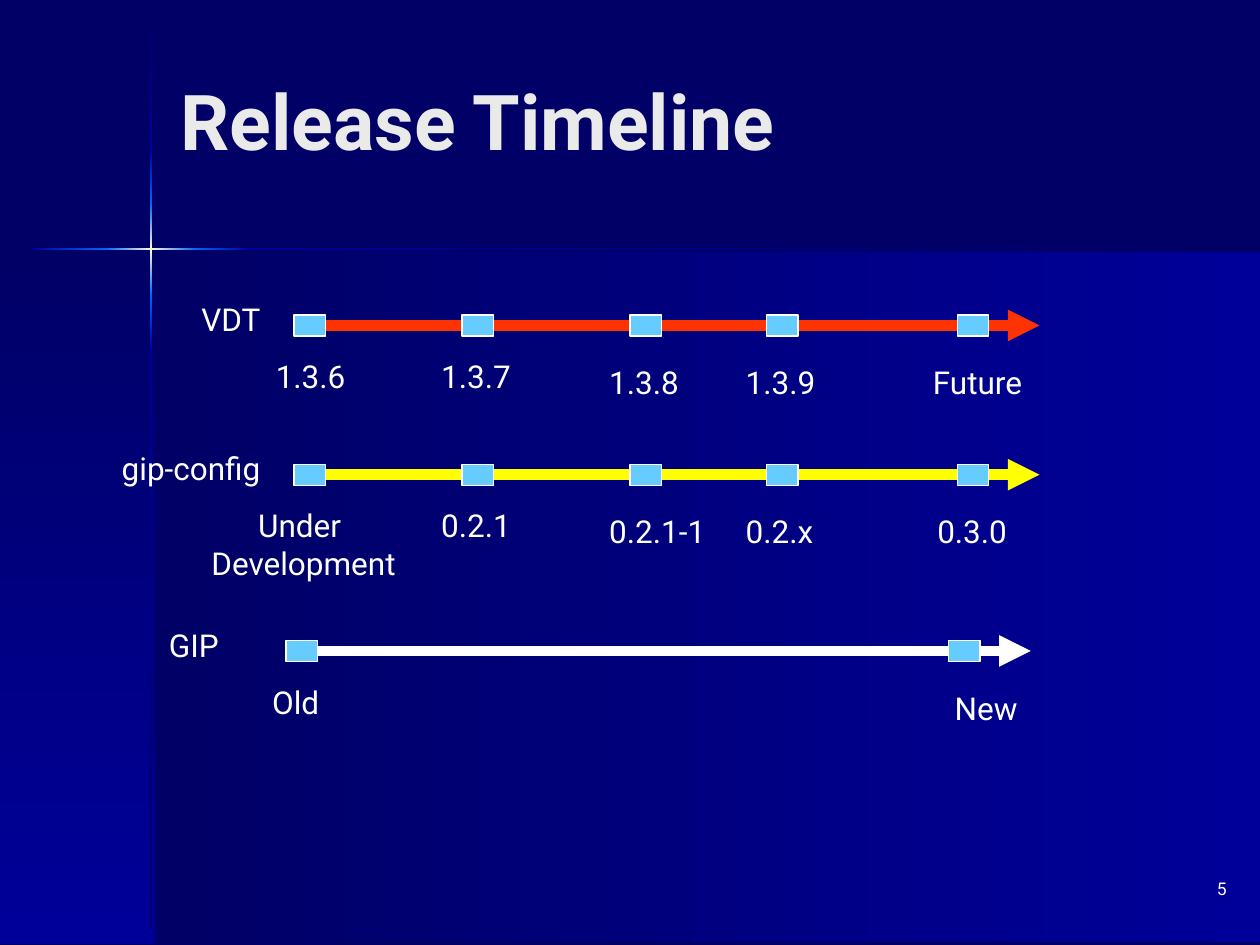
from dataclasses import dataclass
from itertools import pairwise

from lxml import etree
from pptx import Presentation
from pptx.dml.color import RGBColor
from pptx.enum.shapes import MSO_CONNECTOR, MSO_SHAPE
from pptx.enum.text import MSO_ANCHOR, MSO_AUTO_SIZE, PP_ALIGN
from pptx.oxml.ns import qn
from pptx.util import Pt

STRAIGHT = MSO_CONNECTOR.STRAIGHT
RECTANGLE = MSO_SHAPE.RECTANGLE
MIDDLE = MSO_ANCHOR.MIDDLE
NO_AUTOFIT, FIT_SHAPE = MSO_AUTO_SIZE.NONE, MSO_AUTO_SIZE.SHAPE_TO_FIT_TEXT
LEFT, CENTER, RIGHT = PP_ALIGN.LEFT, PP_ALIGN.CENTER, PP_ALIGN.RIGHT

COLORS = {
    "night": "000066", "navy": "000099", "glow": "0066FF", "flare": "FFFFCC",
    "title": "EAEAEA", "text": "FFFFFF", "marker": "66CCFF",
    "vdt": "FF3300", "config": "FFFF00", "gip": "FFFFFF",
}
LABEL_FONT = {"name": "Roboto", "size": Pt(18)}
TITLE_FONT = {"name": "Roboto", "size": Pt(44), "bold": True}
NUMBER_FONT = {"name": "Roboto", "size": Pt(10)}

# Gradient angles run counter-clockwise
RIGHTWARD, DOWNWARD = 0, 270

BEAM_WIDTH = 1.5
VERTICAL_BEAM = [(0, "night"), (85.5, "navy"), (116.5, "glow"), (142.5, "flare"),
                 (168.5, "glow"), (199.5, "navy"), (531.5, "night")]
HORIZONTAL_BEAM = [(18, "navy"), (61, "glow"), (86.5, "flare"),
                   (111.5, "glow"), (142.5, "navy"), (720, "night")]

MARKER_WIDTH, MARKER_HEIGHT = 18, 12
ARROW_LENGTH = 414
NAME_RISE = 18
NEAR, FAR = 14.5, 18


@dataclass
class Label:
    text: str
    left: float
    width: float
    drop: float = FAR
    align: PP_ALIGN = LEFT


@dataclass
class Track:
    color: str
    start: float
    y: float
    name: Label
    marker_lefts: list[float]
    releases: list[Label]


RELEASE_LEFTS = [168, 264, 360, 438, 547]
TRACKS = [
    Track("vdt", 180, 186, Label("VDT", 108, 48, -NAME_RISE), RELEASE_LEFTS, [
        Label("1.3.6", 150.5, 54.5, NEAR),
        Label("1.3.7", 245, 54.5, NEAR),
        Label("1.3.8", 341, 54.5),
        Label("1.3.9", 419, 54.5),
        Label("Future", 526, 70),
    ]),
    Track("config", 180, 271.3, Label("gip-config", 62.5, 99.5, -NAME_RISE),
          RELEASE_LEFTS, [
        Label("Under \nDevelopment", 109.5, 128, NEAR, CENTER),
        Label("0.2.1", 245, 54.5, NEAR),
        Label("0.2.1-1", 341, 70.5),
        Label("0.2.x", 419, 54),
        Label("0.3.0", 528.5, 54.5),
    ]),
    Track("gip", 175, 372, Label("GIP", 89.5, 44.5, -NAME_RISE), [163.5, 542], [
        Label("Old", 147, 44, NEAR, CENTER),
        Label("New", 538.5, 52.5),
    ]),
]


def rgb(name: str) -> RGBColor:
    return RGBColor.from_string(COLORS[name])


def add_rectangle(slide, left: float, top: float, width: float, height: float):
    box = slide.shapes.add_shape(RECTANGLE, Pt(left), Pt(top), Pt(width), Pt(height))
    box.shadow.inherit = False
    return box


def add_gradient(slide, left: float, top: float, width: float, height: float,
                 colors: tuple[str, str], angle: float) -> None:
    box = add_rectangle(slide, left, top, width, height)
    box.line.fill.background()
    box.fill.gradient()
    box.fill.gradient_angle = angle
    for stop, color, position in zip(box.fill.gradient_stops, colors, (0, 1)):
        stop.color.rgb = rgb(color)
        stop.position = position


def add_backdrop(slide) -> None:
    """Draw the two shaded panels and the crossing beams of light."""
    slide.background.fill.solid()
    slide.background.fill.fore_color.rgb = rgb("night")
    add_gradient(slide, 96, 144, 624, 394.5, ("night", "navy"), RIGHTWARD)
    add_gradient(slide, 0, 138, 88.5, 401.5, ("night", "navy"), DOWNWARD)
    for (top, first), (bottom, last) in pairwise(VERTICAL_BEAM):
        add_gradient(slide, 85.5, top, BEAM_WIDTH, bottom - top,
                     (first, last), DOWNWARD)
    for (left, first), (right, last) in pairwise(HORIZONTAL_BEAM):
        add_gradient(slide, left, 141.5, right - left, BEAM_WIDTH,
                     (first, last), RIGHTWARD)


def write(frame, text: str, font_format: dict, color: str, align: PP_ALIGN) -> None:
    frame.text = text
    for paragraph in frame.paragraphs:
        paragraph.alignment = align
        for attribute, value in font_format.items():
            setattr(paragraph.font, attribute, value)
        paragraph.font.color.rgb = rgb(color)


def add_label(slide, label: Label, y: float) -> None:
    lines = label.text.count("\n") + 1
    box = slide.shapes.add_textbox(Pt(label.left), Pt(y + label.drop),
                                   Pt(label.width), Pt(7.2 + 21.6 * lines))
    box.text_frame.word_wrap = False
    box.text_frame.auto_size = FIT_SHAPE
    write(box.text_frame, label.text, LABEL_FONT, "text", label.align)


def add_arrow(slide, track: Track) -> None:
    arrow = slide.shapes.add_connector(STRAIGHT, Pt(track.start), Pt(track.y),
                                       Pt(track.start + ARROW_LENGTH), Pt(track.y))
    arrow.line.width = Pt(6)
    arrow.line.color.rgb = rgb(track.color)
    properties = arrow.line._get_or_add_ln()
    etree.SubElement(properties, qn("a:tailEnd"), type="triangle")
    etree.SubElement(properties.getparent(), qn("a:effectLst"))


def add_track(slide, track: Track) -> None:
    add_arrow(slide, track)
    for left in track.marker_lefts:
        marker = add_rectangle(slide, left, track.y - MARKER_HEIGHT / 2,
                               MARKER_WIDTH, MARKER_HEIGHT)
        marker.fill.solid()
        marker.fill.fore_color.rgb = rgb("marker")
        marker.line.color.rgb = rgb("text")
        marker.line.width = Pt(0.75)
    for label in [track.name, *track.releases]:
        add_label(slide, label, track.y)


def add_title(slide) -> None:
    title = slide.shapes.title
    bounds = {"left": Pt(96), "top": Pt(12), "width": Pt(594), "height": Pt(113)}
    for attribute, value in bounds.items():
        setattr(title, attribute, value)
    title.text_frame.vertical_anchor = MIDDLE
    title.text_frame.auto_size = NO_AUTOFIT
    write(title.text_frame, "Release Timeline", TITLE_FONT, "title", LEFT)


def add_page_number(slide) -> None:
    box = slide.shapes.add_textbox(Pt(558), Pt(498), Pt(150), Pt(36))
    box.text_frame.word_wrap = True
    write(box.text_frame, "5", NUMBER_FONT, "text", RIGHT)


def main() -> None:
    presentation = Presentation()
    presentation.slide_width, presentation.slide_height = Pt(720), Pt(540)
    slide = presentation.slides.add_slide(presentation.slide_layouts[5])
    add_backdrop(slide)
    add_title(slide)
    for track in TRACKS:
        add_track(slide, track)
    add_page_number(slide)
    presentation.save("out.pptx")


if __name__ == "__main__":
    main()
